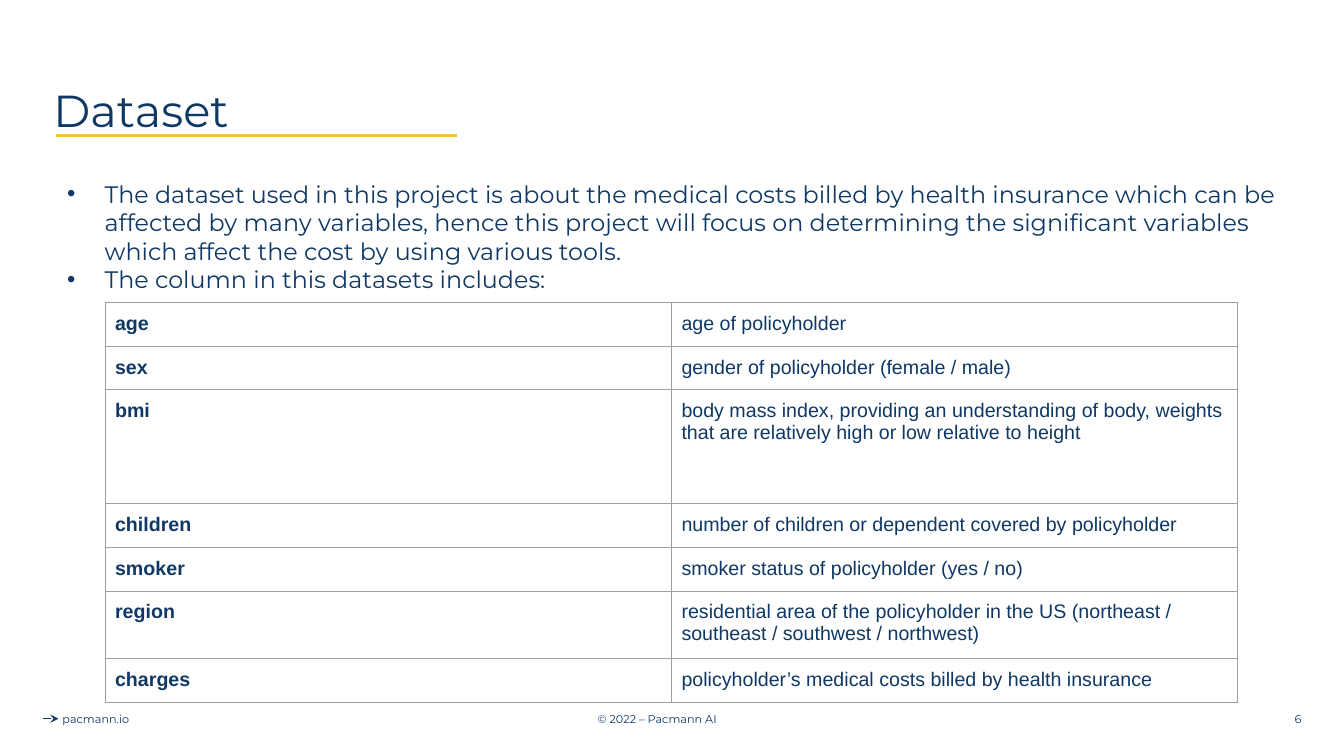
from lxml import etree
from pptx import Presentation
from pptx.dml.color import RGBColor
from pptx.enum.shapes import MSO_CONNECTOR
from pptx.enum.text import MSO_ANCHOR, PP_ALIGN
from pptx.oxml.ns import qn
from pptx.util import Pt

STRAIGHT = MSO_CONNECTOR.STRAIGHT
TOP, MIDDLE = MSO_ANCHOR.TOP, MSO_ANCHOR.MIDDLE
LEFT, CENTER, RIGHT = PP_ALIGN.LEFT, PP_ALIGN.CENTER, PP_ALIGN.RIGHT

COLORS = {"navy": "103864", "gold": "F3C145", "white": "FFFFFF", "grid": "9E9E9E"}
PAGE_WIDTH, PAGE_HEIGHT = 960, 540

INTRODUCTION = [
    "The dataset used in this project is about the medical costs billed by health "
    "insurance which can be affected by many variables, hence this project will focus "
    "on determining the significant variables which affect the cost by using various tools.",
    "The column in this datasets includes:",
]
SINGLE_ROW = 31.2
VARIABLES = [
    ("age", "age of policyholder", SINGLE_ROW),
    ("sex", "gender of policyholder (female / male)", SINGLE_ROW),
    ("bmi", "body mass index, providing an understanding of body, weights that are "
            "relatively high or low relative to height", 81.2),
    ("children", "number of children or dependent covered by policyholder", SINGLE_ROW),
    ("smoker", "smoker status of policyholder (yes / no)", SINGLE_ROW),
    ("region", "residential area of the policyholder in the US (northeast / southeast / "
               "southwest / northwest)", 48),
    ("charges", "policyholder’s medical costs billed by health insurance", SINGLE_ROW),
]


def color(name):
    return RGBColor.from_string(COLORS[name])


def format_font(font, size, name="Montserrat", bold=False):
    font.name, font.size, font.bold = name, Pt(size), bold
    font.color.rgb = color("navy")


def add_bullet(para):
    """Give the paragraph a navy round bullet with a hanging indent."""
    properties = para._p.get_or_add_pPr()
    properties.set("marL", str(Pt(36)))
    properties.set("indent", str(Pt(-26.8)))
    bullet_color = etree.SubElement(properties, qn("a:buClr"))
    etree.SubElement(bullet_color, qn("a:srgbClr"), val=COLORS["navy"])
    etree.SubElement(properties, qn("a:buFont"), typeface="Arial")
    etree.SubElement(properties, qn("a:buChar"), char="•")


def add_text(page, paragraphs, left, top, width, height, size,
             align=LEFT, anchor=MIDDLE, spacing=None, bullets=False):
    box = page.shapes.add_textbox(Pt(left), Pt(top), Pt(width), Pt(height))
    frame = box.text_frame
    frame.word_wrap, frame.vertical_anchor = True, anchor
    for index, text in enumerate(paragraphs):
        para = frame.add_paragraph() if index else frame.paragraphs[0]
        para.alignment = align
        if spacing:
            para.line_spacing = spacing
        if bullets:
            add_bullet(para)
        span = para.add_run()
        span.text = text
        format_font(span.font, size)


def add_rule(page, left, top, width, color_name, weight, arrow=False):
    rule = page.shapes.add_connector(STRAIGHT, Pt(left), Pt(top), Pt(left + width), Pt(top))
    rule.line.color.rgb, rule.line.width = color(color_name), Pt(weight)
    if arrow:
        etree.SubElement(rule.line._get_or_add_ln(), qn("a:tailEnd"), type="stealth")
    etree.SubElement(rule._element.spPr, qn("a:effectLst"))


def add_heading(page, left, top, width, height):
    add_rule(page, left + 9, top + 67.7, 286.6, "gold", 2.25)
    add_text(page, ["Dataset"], left, top, width, height, 32, spacing=0.9)


def add_cell_borders(cell):
    properties = cell._tc.get_or_add_tcPr()
    for position, side in enumerate(("a:lnL", "a:lnR", "a:lnT", "a:lnB")):
        border = etree.Element(qn(side), w=str(Pt(0.75)))
        fill = etree.SubElement(border, qn("a:solidFill"))
        etree.SubElement(fill, qn("a:srgbClr"), val=COLORS["grid"])
        properties.insert(position, border)


def add_variable_table(page, left, top, width):
    height = sum(row_height for *_, row_height in VARIABLES)
    table = page.shapes.add_table(len(VARIABLES), 2, Pt(left), Pt(top),
                                  Pt(width), Pt(height)).table
    table.first_row = table.horz_banding = False
    for column in table.columns:
        column.width = Pt(width / 2)
    for row, (variable, meaning, row_height) in zip(table.rows, VARIABLES):
        row.height = Pt(row_height)
        for cell, text, bold in zip(row.cells, (variable, meaning), (True, False)):
            cell.fill.solid()
            cell.fill.fore_color.rgb = color("white")
            cell.margin_left = cell.margin_right = Pt(7.2)
            cell.margin_top = cell.margin_bottom = Pt(7.2)
            add_cell_borders(cell)
            span = cell.text_frame.paragraphs[0].add_run()
            span.text = text
            format_font(span.font, 14, "Arial", bold)


def add_footer(page, top, height):
    add_rule(page, 31, top + height / 2, 10.8, "navy", 0.75, arrow=True)
    for text, left, width, align in (
        ("pacmann.io", 0, 137, CENTER),
        ("© 2022 – Pacmann AI", 307.5, 324, CENTER),
        ("6", 720.7, 216, RIGHT),
    ):
        add_text(page, [text], left, top, width, height, 8, align)


def main():
    deck = Presentation()
    deck.slide_width, deck.slide_height = Pt(PAGE_WIDTH), Pt(PAGE_HEIGHT)
    page = deck.slides.add_slide(deck.slide_layouts[6])
    add_footer(page, 499, 28.8)
    add_heading(page, 31, 28.8, 898, 104.4)
    add_text(page, INTRODUCTION, 31.7, 124.6, 897, 90, 17, anchor=TOP, bullets=True)
    add_variable_table(page, 75, 216, 809.2)
    deck.save("out.pptx")


if __name__ == "__main__":
    main()
